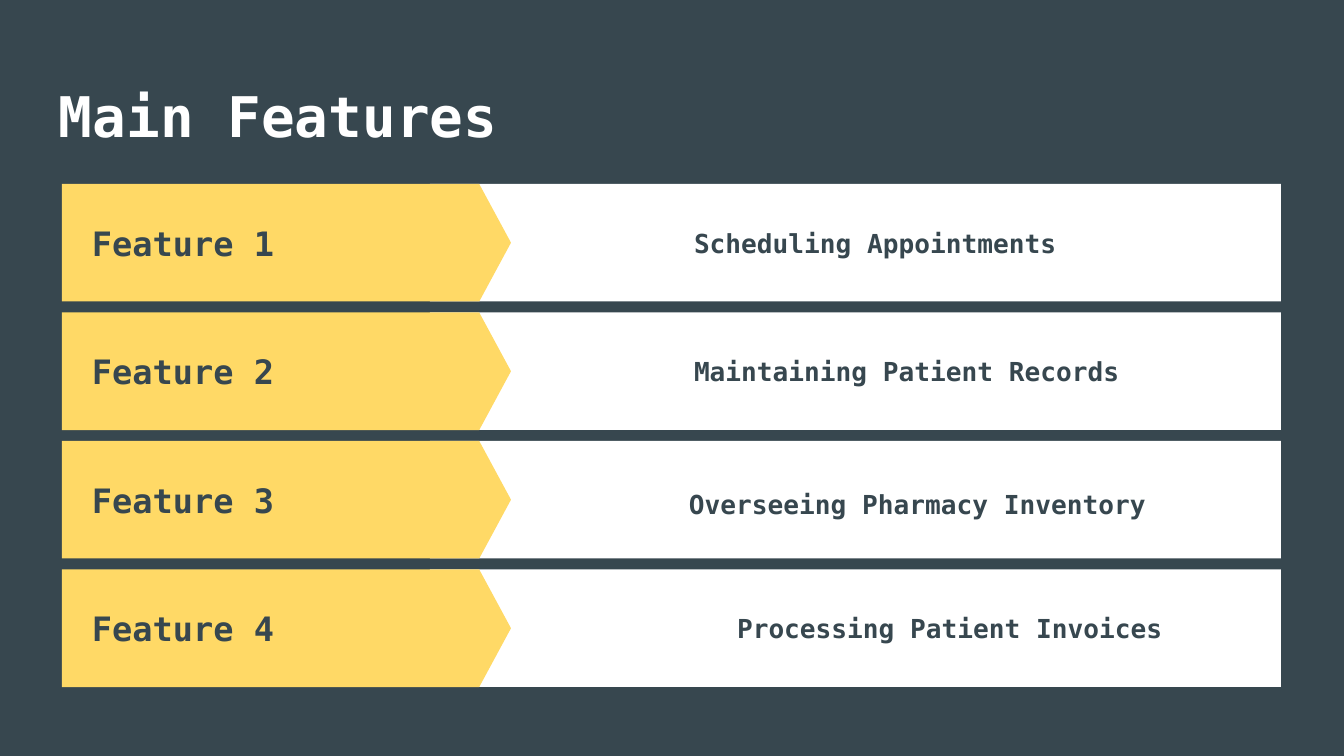
from pptx import Presentation
from pptx import util as u
from pptx.dml.color import RGBColor
from pptx.enum import shapes, text

SLATE = RGBColor(0x37, 0x47, 0x4F)
YELLOW = RGBColor(0xFF, 0xD9, 0x66)
WHITE = RGBColor(0xFF, 0xFF, 0xFF)
FONT = "DejaVu Sans Mono"

SLIDE_W, SLIDE_H = 1344, 756
EMU_PER_PX = u.Inches(10) / SLIDE_W
INSET = 13

# Label, description, description's offset from the row's left and centre line
FEATURES = [
    ("Feature 1", "Scheduling Appointments", 632, 0),
    ("Feature 2", "Maintaining Patient Records", 632, 0),
    ("Feature 3", "Overseeing Pharmacy Inventory", 627, 4),
    ("Feature 4", "Processing Patient Invoices", 675, 0),
]


def px(length):
    return u.Emu(round(length * EMU_PER_PX))


def write(frame, words, size, color, anchor):
    frame.word_wrap = True
    frame.auto_size = text.MSO_AUTO_SIZE.NONE
    frame.vertical_anchor = anchor
    frame.margin_left = frame.margin_right = px(INSET)
    frame.margin_top = frame.margin_bottom = px(INSET)
    paragraph = frame.paragraphs[0]
    paragraph.alignment = text.PP_ALIGN.LEFT
    run = paragraph.add_run()
    run.text = words
    run.font.name = FONT
    run.font.size = u.Pt(size)
    run.font.bold = True
    run.font.color.rgb = color


def add_panel(slide, kind, color, left, top, width, height):
    panel = slide.shapes.add_shape(kind, px(left), px(top), px(width), px(height))
    panel.shadow.inherit = False
    panel.fill.solid()
    panel.fill.fore_color.rgb = color
    panel.line.fill.background()
    return panel


def add_caption(slide, words, size, left, top, width, height):
    caption = slide.shapes.add_textbox(px(left), px(top), px(width), px(height))
    write(caption.text_frame, words, size, SLATE, text.MSO_ANCHOR.MIDDLE)


def place_title(slide, left, top, width, height):
    title = slide.shapes.title
    title.left, title.top = px(left), px(top)
    title.width, title.height = px(width), px(height)
    write(title.text_frame, "Main Features", 30, WHITE, text.MSO_ANCHOR.TOP)


def add_feature_row(slide, feature, left, top, width, height):
    label, description, indent, drop = feature
    # White bar under a yellow pointer
    add_panel(slide, shapes.MSO_SHAPE.RECTANGLE, WHITE,
              left + 368, top, width - 368, height)
    pointer = add_panel(slide, shapes.MSO_SHAPE.PENTAGON, YELLOW,
                        left, top, 449, height)
    pointer.adjustments[0] = 0.27
    # Feature label and its description
    add_caption(slide, label, 18, left + 17, top, 356, height)
    add_caption(slide, description, 14, left + indent - INSET, top + drop,
                width - indent + INSET, height)


def add_feature_list(slide, left, top, width, height, gap=11):
    row_height = (height - gap * (len(FEATURES) - 1)) / len(FEATURES)
    for index, feature in enumerate(FEATURES):
        row_top = top + index * (row_height + gap)
        add_feature_row(slide, feature, left, row_top, width, row_height)


def main():
    deck = Presentation()
    deck.slide_width, deck.slide_height = px(SLIDE_W), px(SLIDE_H)
    slide = deck.slides.add_slide(deck.slide_layouts.get_by_name("Title Only"))
    slide.background.fill.solid()
    slide.background.fill.fore_color.rgb = SLATE
    place_title(slide, 46, 69, 1252, 85)
    add_feature_list(slide, 62, 184, 1219, 503)
    deck.save("out.pptx")


if __name__ == "__main__":
    main()
